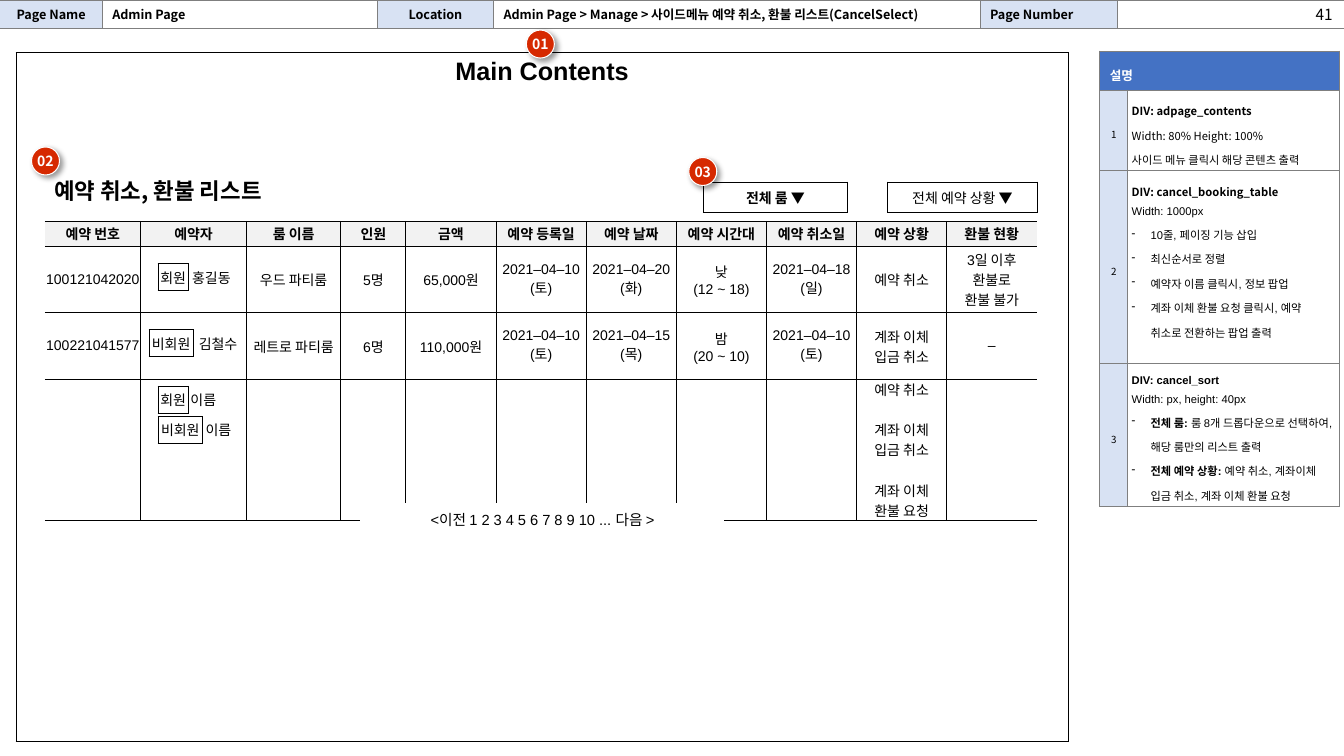
from lxml import etree
from pptx import Presentation
from pptx.dml.color import RGBColor
from pptx.enum.shapes import MSO_SHAPE
from pptx.enum.text import MSO_ANCHOR, PP_ALIGN
from pptx.oxml.ns import qn
from pptx.util import Pt

LEFT, CENTER, RIGHT = PP_ALIGN.LEFT, PP_ALIGN.CENTER, PP_ALIGN.RIGHT
TOP, MIDDLE = MSO_ANCHOR.TOP, MSO_ANCHOR.MIDDLE
OVAL = MSO_SHAPE.OVAL
SANS, ARIAL = "Noto Sans CJK KR", "Arial"
COLORS = {"black": "000000", "white": "FFFFFF", "gray": "7F7F7F", "pale": "F2F2F2",
          "label": "D8E2F3", "blue": "4472C4", "red": "D62900"}

# Content
TITLE = "예약 취소, 환불 리스트"
PAGE_NUMBER = "41"
HEADER = ["Page Name", "Admin Page", "Location",
          "Admin Page > Manage > 사이드메뉴 예약 취소, 환불 리스트(CancelSelect)",
          "Page Number", ""]
NOTES_HEADING = "설명"
# Each note: heading, its font, size line, its font, plain lines, bullets (bold lead, text)
NOTES = [
    ("DIV: adpage_contents", SANS, "Width: 80% Height: 100%", SANS,
     ["사이드 메뉴 클릭시 해당 콘텐츠 출력"], []),
    ("DIV: cancel_booking_table", SANS, "Width: 1000px", ARIAL, [],
     [("", "10줄, 페이징 기능 삽입"), ("", "최신순서로 정렬"),
      ("", "예약자 이름 클릭시, 정보 팝업"),
      ("", "계좌 이체 환불 요청 클릭시, 예약 취소로 전환하는 팝업 출력")]),
    ("DIV: cancel_sort", ARIAL, "Width: px, height: 40px", ARIAL, [],
     [("전체 룸: ", "룸 8개 드롭다운으로 선택하여, 해당 룸만의 리스트 출력"),
      ("전체 예약 상황: ", "예약 취소, 계좌이체 입금 취소, 계좌 이체 환불 요청")]),
]
FRAME_HEADING = "Main Contents"
BOOKINGS = [
    ["예약 번호", "예약자", "룸 이름", "인원", "금액", "예약 등록일", "예약 날짜",
     "예약 시간대", "예약 취소일", "예약 상황", "환불 현황"],
    ["100121042020", "", "우드 파티룸", "5명", "65,000원", "2021–04–10\n(토)",
     "2021–04–20\n(화)", "낮\v(12 ~ 18)", "2021–04–18\n(일)", "예약 취소",
     "3일 이후 환불로\n환불 불가"],
    ["100221041577", "", "레트로 파티룸", "6명", "110,000원", "2021–04–10\n(토)",
     "2021–04–15\n(목)", "밤\v(20 ~ 10)", "2021–04–10\n(토)", "계좌 이체\n입금 취소", "–"],
    [""] * 9 + ["예약 취소\n계좌 이체\v입금 취소\n계좌 이체\v환불 요청", ""],
]
PAGING = "<이전 1 2 3 4 5 6 7 8 9 10 ... 다음 >"
FILTERS = ["", "", "", "", "전체 룸 ▼", "", "전체 예약 상황 ▼"]
FILTER_SIDES = ["", "", "", "R", "LRTB", "LR", "LRTB"]
# Name tags: left, top, column widths, texts
NAME_TAGS = [
    (113, 188.5, [21.5, 33], ["회원", "홍길동"]),
    (113, 276, [21.5, 21.5], ["회원", "이름"]),
    (113, 297.5, [31.5, 23], ["비회원", "이름"]),
    (106.5, 235.5, [31.5, 35.5], ["비회원", "김철수"]),
]
MARKERS = [("01", 376, 21.5), ("03", 492, 112.5), ("02", 22.5, 105)]


def rgb(name):
    return RGBColor.from_string(COLORS[name])


def set_font(para, size, font=ARIAL, bold=False, color="black"):
    para.font.size, para.font.bold, para.font.name = Pt(size), bold, font
    para.font.color.rgb = rgb(color)
    etree.SubElement(para.font._rPr, qn("a:ea"), typeface=SANS)


def set_margins(target, x, y):
    target.margin_left = target.margin_right = Pt(x)
    target.margin_top = target.margin_bottom = Pt(y)


def add_grid(left, top, widths, heights):
    table = slide.shapes.add_table(len(heights), len(widths), Pt(left), Pt(top),
                                   Pt(sum(widths)), Pt(sum(heights))).table
    table.first_row = table.horz_banding = False
    for column, width in zip(table.columns, widths):
        column.width = Pt(width)
    for row, height in zip(table.rows, heights):
        row.height = Pt(height)
    return table


def style_cell(cell, fill="white", sides="LRTB", line="black", margins=(0, 0), anchor=MIDDLE):
    properties = cell._tc.get_or_add_tcPr()
    for side in "LRTB":
        border = etree.SubElement(properties, qn("a:ln" + side), w=str(Pt(0.75)))
        if side in sides:
            paint = etree.SubElement(border, qn("a:solidFill"))
            etree.SubElement(paint, qn("a:srgbClr"), val=COLORS[line])
        else:
            etree.SubElement(border, qn("a:noFill"))
    cell.fill.solid()
    cell.fill.fore_color.rgb = rgb(fill)
    set_margins(cell, *margins)
    cell.vertical_anchor = anchor


def write(frame, text, align=CENTER, gap=0, spacing=None, **font):
    for index, line in enumerate(text.split("\n")):
        para = frame.add_paragraph() if index else frame.paragraphs[0]
        para.text, para.alignment = line, align
        if index and gap:
            para.space_before = Pt(gap)
        if spacing:
            para.line_spacing = spacing
        set_font(para, **font)


def add_note_line(frame, lead, text, font, bold=False, bullet=False):
    para = frame.paragraphs[0] if not frame.text else frame.add_paragraph()
    para.line_spacing = 1.5
    if bullet:
        properties = para._p.get_or_add_pPr()
        properties.set("marL", str(Pt(13.5)))
        properties.set("indent", str(-Pt(13.5)))
        etree.SubElement(properties, qn("a:buChar"), char="-")
    set_font(para, 8, font, bold)
    if lead:
        span = para.add_run()
        span.text, span.font.bold = lead, True
    para.add_run().text = text


deck = Presentation()
deck.slide_width, deck.slide_height = Pt(960), Pt(540)
slide = deck.slides.add_slide(deck.slide_layouts[5])

# Header strip and page number
header = add_grid(0, 0, [73, 196.5, 83, 347.5, 98, 162], [20])
for index, text in enumerate(HEADER):
    cell = header.cell(0, index)
    sides = "TB" + ("L" if index else "") + ("R" if index < len(HEADER) - 1 else "")
    style_cell(cell, "white" if index % 2 else "label", sides, "gray", (7.2, 3))
    write(cell.text_frame, text, CENTER if index in (0, 2) else LEFT,
          size=9, font=SANS, bold=True)
page_box = slide.shapes.add_textbox(Pt(797), Pt(0), Pt(162), Pt(18))
page_box.text_frame.word_wrap = True
set_margins(page_box.text_frame, 7.2, 3.6)
write(page_box.text_frame, PAGE_NUMBER, RIGHT, size=11, font=SANS)

# Notes panel
notes = add_grid(785.5, 36.5, [20, 151], [28, 57.5, 138, 102])
notes.cell(0, 0).merge(notes.cell(0, 1))
for cell in notes.rows[0].cells:
    style_cell(cell, "blue", line="gray", margins=(7.2, 3.6))
write(notes.cell(0, 0).text_frame, NOTES_HEADING, LEFT, spacing=1.5,
      size=9, font=SANS, bold=True, color="white")
for number, (heading, heading_font, size_line, body_font, lines, bullets) in enumerate(NOTES, 1):
    style_cell(notes.cell(number, 0), "label", line="gray", margins=(0, 3.6))
    write(notes.cell(number, 0).text_frame, str(number), spacing=1.5, size=7, font=SANS)
    cell = notes.cell(number, 1)
    style_cell(cell, line="gray", margins=(2.9, 2.9), anchor=TOP)
    add_note_line(cell.text_frame, "", heading, heading_font, bold=True)
    for line in [size_line] + lines:
        add_note_line(cell.text_frame, "", line, body_font)
    for lead, text in bullets:
        add_note_line(cell.text_frame, lead, text, body_font, bullet=True)

# Main frame
frame_cell = add_grid(11.5, 37.5, [751.5], [492]).cell(0, 0)
style_cell(frame_cell, margins=(7.2, 3.6), anchor=TOP)
write(frame_cell.text_frame, FRAME_HEADING, size=18, bold=True)

# Booking table
bookings = add_grid(32, 158, [68.5, 75.5, 67.5, 46.5] + [64.4] * 7, [18, 47.5, 47.5, 100.5])
for row, texts in enumerate(BOOKINGS):
    for column, text in enumerate(texts):
        cell = bookings.cell(row, column)
        sides = "TB" + ("L" if column else "") + ("R" if column < len(texts) - 1 else "")
        style_cell(cell, "white" if row else "pale", sides)
        write(cell.text_frame, text, gap=14.4 if row == 3 else 0, size=10, bold=row == 0)

# Name tags
for left, top, widths, texts in NAME_TAGS:
    tag = add_grid(left, top, widths, [19])
    for column, text in enumerate(texts):
        style_cell(tag.cell(0, column), sides="L" if column else "LRTB")
        write(tag.cell(0, column).text_frame, text, size=10)

# Paging
paging_cell = add_grid(257.5, 359.5, [260], [20]).cell(0, 0)
style_cell(paging_cell, sides="", margins=(7.2, 3.6), anchor=MIDDLE)
write(paging_cell.text_frame, PAGING, size=10.5)

# Filter buttons
filters = add_grid(32, 130, [107.5, 240, 93, 30, 103, 28.5, 107], [22])
for column, (text, sides) in enumerate(zip(FILTERS, FILTER_SIDES)):
    style_cell(filters.cell(0, column), sides=sides, margins=(7.2, 3))
    write(filters.cell(0, column).text_frame, text, size=10, bold=column == 4)

# Numbered markers
for text, left, top in MARKERS:
    marker = slide.shapes.add_shape(OVAL, Pt(left), Pt(top), Pt(20), Pt(20))
    marker.fill.solid()
    marker.fill.fore_color.rgb = rgb("red")
    marker.line.color.rgb, marker.line.width = rgb("white"), Pt(0.75)
    marker.shadow.inherit = False
    effects = marker._element.spPr.find(qn("a:effectLst"))
    shadow = etree.SubElement(effects, qn("a:outerShdw"), blurRad=str(Pt(4)),
                              dist=str(Pt(3)), dir="2700000")
    tint = etree.SubElement(shadow, qn("a:srgbClr"), val=COLORS["black"])
    etree.SubElement(tint, qn("a:alpha"), val="40000")
    marker.text_frame.vertical_anchor = MIDDLE
    marker.text_frame.word_wrap = False
    set_margins(marker.text_frame, 0, 0)
    write(marker.text_frame, text, size=10, font=SANS, bold=True, color="white")

# Title, in front of the filter row
title = slide.shapes.title
title.left, title.top, title.width, title.height = Pt(31.5), Pt(123), Pt(460), Pt(27)
title.text_frame.vertical_anchor = TOP
set_margins(title.text_frame, 7.2, 3.6)
write(title.text_frame, TITLE, LEFT, size=16, font=SANS, bold=True)
slide.shapes._spTree.append(title._element)

deck.save("out.pptx")
